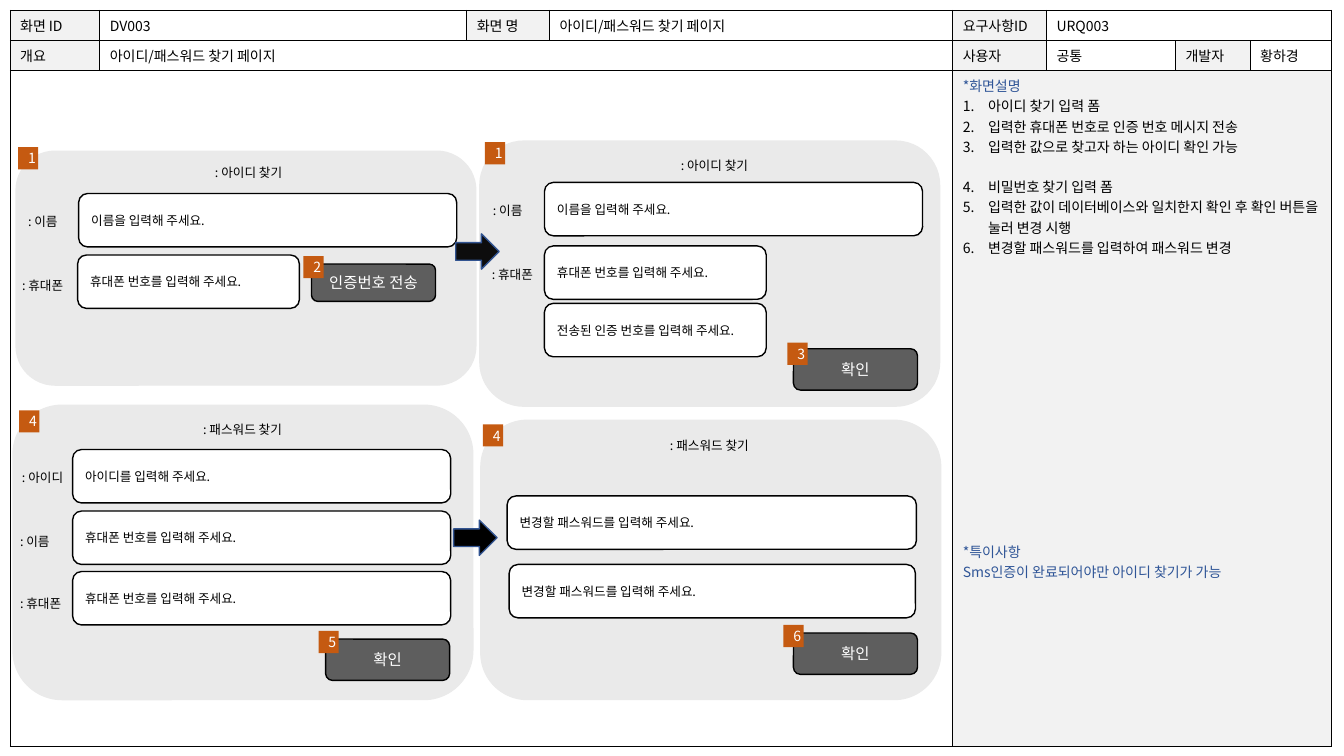
from lxml import etree
from pptx import Presentation
from pptx.dml.color import RGBColor
from pptx.enum.shapes import MSO_SHAPE
from pptx.enum.text import MSO_ANCHOR, MSO_AUTO_SIZE, PP_ALIGN
from pptx.oxml.ns import qn
from pptx.util import Inches, Pt

ROUNDED, RECTANGLE, ARROW = MSO_SHAPE.ROUNDED_RECTANGLE, MSO_SHAPE.RECTANGLE, MSO_SHAPE.RIGHT_ARROW
LEFT, CENTER = PP_ALIGN.LEFT, PP_ALIGN.CENTER
MIDDLE = MSO_ANCHOR.MIDDLE
FIT_TEXT = MSO_AUTO_SIZE.SHAPE_TO_FIT_TEXT
FONT = "Noto Sans CJK KR"
COLORS = {
    "black": "000000", "white": "FFFFFF", "header": "F2F2F2", "panel": "EAEAEA",
    "button": "5E5E5E", "badge": "C55A11", "note": "2F5597", "arrow_line": "325491",
    "arrow": "0D0D0D",
}
LINE_PITCH = 14.48

COLUMN_WIDTHS = [0.89, 3.64, 0.82, 4, 0.93, 1.28, 0.74, 0.81]
ROW_HEIGHTS = [0.28, 0.29, 6.7]
CELLS = [
    (0, 0, 0, "화면 ID", "header"), (0, 1, 1, "DV003", "white"),
    (0, 2, 2, "화면 명", "header"), (0, 3, 3, "아이디/패스워드 찾기 페이지", "white"),
    (0, 4, 4, "요구사항ID", "header"), (0, 5, 7, "URQ003", "white"),
    (1, 0, 0, "개요", "header"), (1, 1, 3, "아이디/패스워드 찾기 페이지", "white"),
    (1, 4, 4, "사용자", "header"), (1, 5, 5, "공통", "white"),
    (1, 6, 6, "개발자", "header"), (1, 7, 7, "황하경", "white"),
    (2, 0, 3, "", "white"), (2, 4, 7, "", "header"),
]
NOTES = [
    ("*화면설명", {"color": "note"}),
    ("아이디 찾기 입력 폼", {"numbered": True}),
    ("입력한 휴대폰 번호로 인증 번호 메시지 전송", {"numbered": True}),
    ("입력한 값으로 찾고자 하는 아이디 확인 가능", {"numbered": True}),
    ("비밀번호 찾기 입력 폼", {"numbered": True, "before": LINE_PITCH}),
    ("입력한 값이 데이터베이스와 일치한지 확인 후 확인 버튼을 눌러 변경 시행", {"numbered": True}),
    ("변경할 패스워드를 입력하여 패스워드 변경", {"numbered": True}),
    ("*특이사항", {"color": "note", "before": 14 * LINE_PITCH}),
    ("Sms인증이 완료되어야만 아이디 찾기가 가능", {"color": "note"}),
]
PANELS = [(0.16, 1.5, 2.32), (0.13, 4.02, 2.92), (4.76, 1.4, 2.63), (4.77, 4.17, 2.77)]
TITLES = [
    (0.22, 1.59, ": 아이디 찾기"), (0.16, 4.14, ": 패스워드 찾기"),
    (4.84, 1.52, ": 아이디 찾기"), (4.79, 4.29, ": 패스워드 찾기"),
]
LABELS = [
    (0.18, 2.07, 4.49, ": 이름"), (0.12, 2.71, 3.02, ": 휴대폰"),
    (0.12, 4.61, 0.9, ": 아이디"), (0.1, 5.25, 4.49, ": 이름"), (0.1, 5.86, 4.49, ": 휴대폰"),
    (4.79, 1.96, 4.49, ": 이름"), (4.78, 2.6, 2.67, ": 휴대폰"),
]
FIELDS = [
    (0.78, 1.92, 3.75, "이름을 입력해 주세요."), (0.77, 2.53, 2.2, "휴대폰 번호를 입력해 주세요."),
    (0.72, 4.46, 3.75, "아이디를 입력해 주세요."), (0.72, 5.07, 3.75, "휴대폰 번호를 입력해 주세요."),
    (0.72, 5.67, 3.75, "휴대폰 번호를 입력해 주세요."), (5.4, 1.81, 3.75, "이름을 입력해 주세요."),
    (5.4, 2.44, 2.2, "휴대폰 번호를 입력해 주세요."), (5.4, 3.01, 2.2, "전송된 인증 번호를 입력해 주세요."),
    (5.03, 4.92, 4.06, "변경할 패스워드를 입력해 주세요."), (5.05, 5.6, 4.03, "변경할 패스워드를 입력해 주세요."),
]
BUTTONS = [
    (3.09, 2.62, 0.37, "인증번호 전송"), (3.23, 6.34, 0.41, "확인"),
    (7.87, 3.46, 0.41, "확인"), (7.87, 6.28, 0.41, "확인"),
]
ARROWS = [(4.52, 2.32, "arrow"), (4.5, 5.16, "black")]
BADGES = [
    (0.18, 1.46, "1"), (4.81, 1.41, "1"), (3.01, 2.54, "2"), (7.81, 3.4, "3"),
    (0.19, 4.07, "4"), (4.79, 4.21, "4"), (3.16, 6.26, "5"), (7.77, 6.2, "6"),
]


def rgb(name):
    """Return the named colour."""
    return RGBColor.from_string(COLORS[name])


def write(paragraph, text, size=10, color="black", align=LEFT, before=0, numbered=False):
    """Fill a paragraph with formatted text."""
    paragraph.alignment = align
    if before:
        paragraph.space_before = Pt(before)
    if numbered:
        properties = paragraph._p.get_or_add_pPr()
        properties.set("marL", str(Inches(0.25)))
        properties.set("indent", str(Inches(-0.25)))
        etree.SubElement(properties, qn("a:buAutoNum"), type="arabicPeriod")
    run = paragraph.add_run()
    run.text = text
    run.font.size = Pt(size)
    run.font.color.rgb = rgb(color)
    run.font.name = FONT
    etree.SubElement(run.font._element, qn("a:ea"), typeface=FONT)


class Wireframe:
    """Draw the parts of a screen specification on one slide."""

    def __init__(self, slide):
        """Keep the current slide."""
        self.slide = slide

    def shape(self, kind, left, top, width, height, fill, line=None, text="", **style):
        """Add a filled preset shape with optional text."""
        shape = self.slide.shapes.add_shape(kind, Inches(left), Inches(top), Inches(width), Inches(height))
        shape.shadow.inherit = False
        shape.fill.solid()
        shape.fill.fore_color.rgb = rgb(fill)
        if line:
            shape.line.color.rgb = rgb(line)
            shape.line.width = Pt(1)
        else:
            shape.line.fill.background()
        if text:
            shape.text_frame.word_wrap = True
            shape.text_frame.vertical_anchor = MIDDLE
            write(shape.text_frame.paragraphs[0], text, **style)

    def label(self, left, top, width, text, **style):
        """Add a wrapping line of small text."""
        box = self.slide.shapes.add_textbox(Inches(left), Inches(top), Inches(width), Inches(0.25))
        box.text_frame.word_wrap = True
        box.text_frame.auto_size = FIT_TEXT
        write(box.text_frame.paragraphs[0], text, size=9, **style)

    def borders(self, cell, widths):
        """Draw the four borders of a cell."""
        properties = cell._tc.get_or_add_tcPr()
        for side, width in zip("LRTB", widths):
            line = etree.SubElement(properties, qn(f"a:ln{side}"), w=str(Pt(width)))
            fill = etree.SubElement(line, qn("a:solidFill"))
            etree.SubElement(fill, qn("a:srgbClr"), val=COLORS["black"])

    def table(self, left, top):
        """Add the specification table and return it."""
        frame = self.slide.shapes.add_table(
            len(ROW_HEIGHTS), len(COLUMN_WIDTHS), Inches(left), Inches(top),
            Inches(sum(COLUMN_WIDTHS)), Inches(sum(ROW_HEIGHTS)))
        table = frame.table
        table.first_row = table.horz_banding = False
        for column, width in zip(table.columns, COLUMN_WIDTHS):
            column.width = Inches(width)
        for row, height in zip(table.rows, ROW_HEIGHTS):
            row.height = Inches(height)
        for row, first, last, text, fill in CELLS:
            for column in range(first, last + 1):
                cell = table.cell(row, column)
                self.borders(cell, (0.5, 0.5, 0.5, 0.5))
                cell.fill.solid()
                cell.fill.fore_color.rgb = rgb(fill)
            cell = table.cell(row, first)
            if last > first:
                cell.merge(table.cell(row, last))
            if text:
                write(cell.text_frame.paragraphs[0], text)
        return table


def main():
    """Build and save the slide."""
    presentation = Presentation()
    presentation.slide_width, presentation.slide_height = Inches(13.33), Inches(7.5)
    wireframe = Wireframe(presentation.slides.add_slide(presentation.slide_layouts[6]))
    notes = wireframe.table(0.1, 0.1).cell(2, 4).text_frame
    for index, (text, style) in enumerate(NOTES):
        write(notes.add_paragraph() if index else notes.paragraphs[0], text, **style)
    for left, top, height in PANELS:
        wireframe.shape(ROUNDED, left, top, 4.56, height, "panel", "panel")
    for left, top, text in TITLES:
        wireframe.label(left, top, 4.49, text, align=CENTER)
    for left, top, width, text in FIELDS:
        wireframe.shape(ROUNDED, left, top, width, 0.53, "white", "black", text, size=9)
    for left, top, width, text in LABELS:
        wireframe.label(left, top, width, text)
    for left, top, height, text in BUTTONS:
        wireframe.shape(ROUNDED, left, top, 1.23, height, "button", "black", text,
                        size=11, color="white", align=CENTER)
    for left, top, fill in ARROWS:
        wireframe.shape(ARROW, left, top, 0.43, 0.35, fill, "arrow_line")
    for left, top, text in BADGES:
        wireframe.shape(RECTANGLE, left, top, 0.2, 0.22, "badge", text=text, color="white", align=CENTER)
    presentation.save("out.pptx")


if __name__ == "__main__":
    main()
